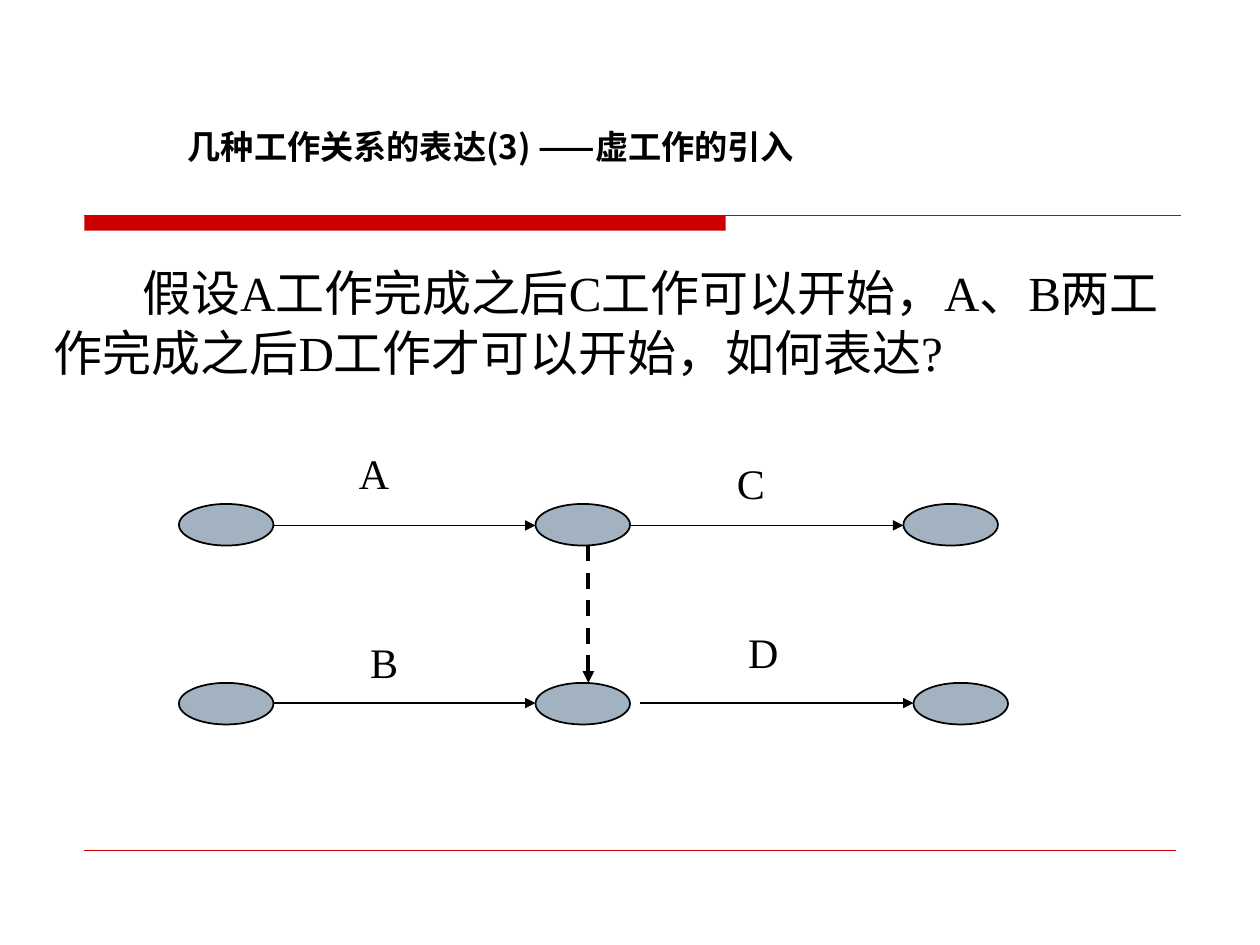
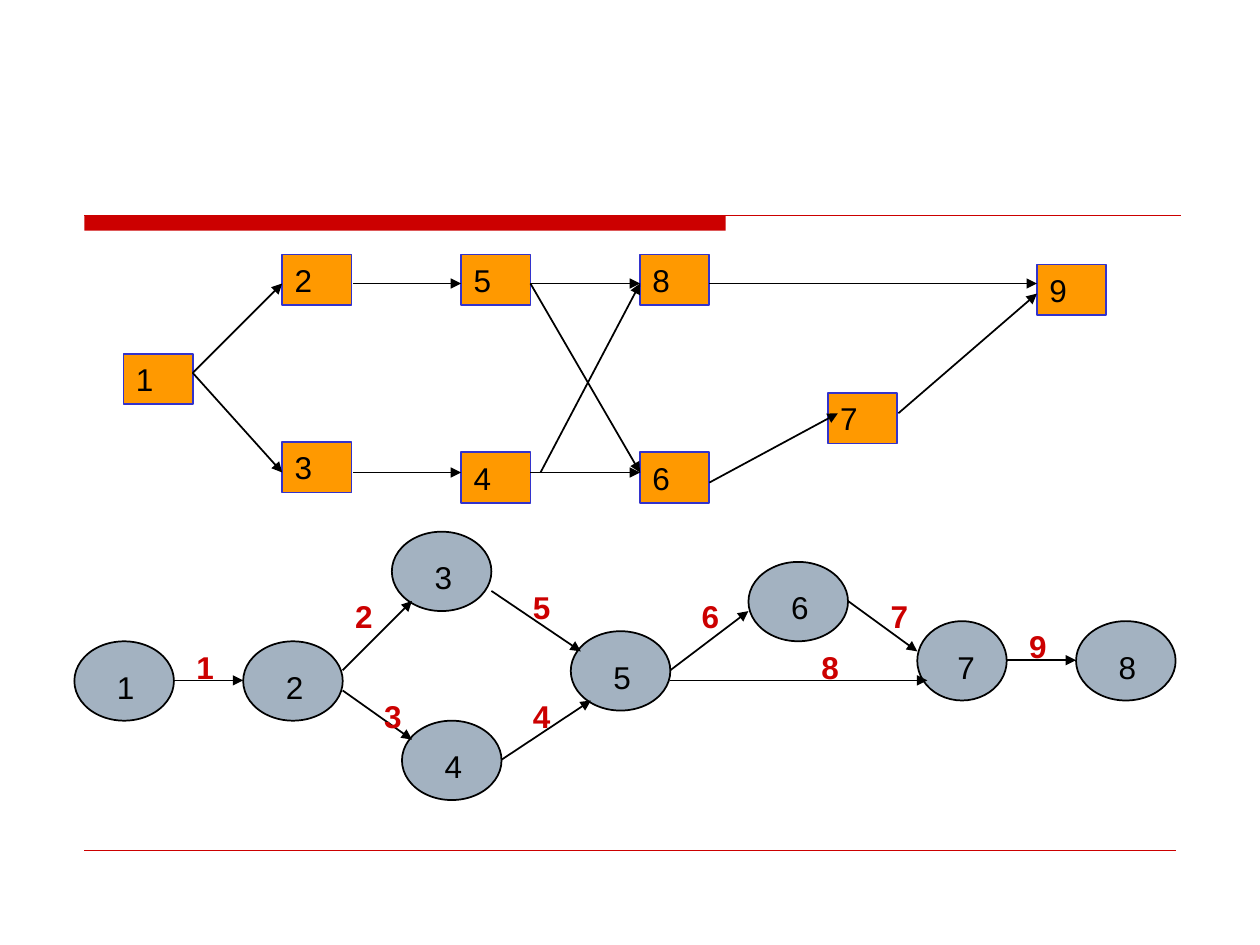
from lxml import etree
from pptx import Presentation
from pptx import util as u
from pptx.dml.color import RGBColor
from pptx.enum import dml, shapes, text
from pptx.oxml import ns

PX = 9144  # EMU in one px, 100 px to the inch

BLACK = RGBColor(0x00, 0x00, 0x00)
RED = RGBColor(0xCC, 0x00, 0x00)
ORANGE = RGBColor(0xFF, 0x99, 0x00)
BLUE = RGBColor(0x33, 0x33, 0xCC)
GREY = RGBColor(0xA3, 0xB2, 0xC1)

CJK = "Noto Sans CJK SC"
SERIF = "Times New Roman"
SANS = "Arial"
TITLE_ONLY, BLANK = 5, 6


def px(*lengths):
    return [u.Emu(length * PX) for length in lengths]


def write(frame, words, size=18, font=SANS, color=BLACK, bold=False,
          insets=(10, 5, 10, 5), anchor=text.MSO_ANCHOR.TOP, indent=0, spacing=None):
    """Fill a text frame with one left-aligned paragraph."""
    frame.word_wrap = True
    frame.auto_size = text.MSO_AUTO_SIZE.NONE
    frame.vertical_anchor = anchor
    (frame.margin_left, frame.margin_top,
     frame.margin_right, frame.margin_bottom) = px(*insets)
    paragraph = frame.paragraphs[0]
    paragraph.alignment = text.PP_ALIGN.LEFT
    if indent:
        paragraph._p.get_or_add_pPr().set("indent", str(indent * PX))
    if spacing:
        paragraph.line_spacing = u.Pt(spacing)
    run = paragraph.add_run()
    run.text = words
    run.font.size = u.Pt(size)
    run.font.name = font
    run.font.bold = bold
    run.font.color.rgb = color
    east_asian = etree.SubElement(run._r.get_or_add_rPr(), ns.qn("a:ea"))
    east_asian.set("typeface", CJK)


class Deck:
    """Holds the shared style and the slide being drawn."""

    def __init__(self):
        self.presentation = Presentation()
        self.presentation.slide_width, self.presentation.slide_height = px(1000, 750)
        self.slide = None

    def new_slide(self, title=None):
        layout = self.presentation.slide_layouts[TITLE_ONLY if title else BLANK]
        self.slide = self.presentation.slides.add_slide(layout)
        # Red band under the title and thin rule at the foot
        self.shape(shapes.MSO_SHAPE.RECTANGLE, (67, 171, 509, 12), RED)
        self.line((67, 171), (937, 171), RED, 0.75)
        self.line((67, 675), (933, 675), RED, 0.25)
        if title:
            holder = self.slide.shapes.title
            holder.left, holder.top, holder.width, holder.height = px(128, 37, 767, 106)
            write(holder.text_frame, title, size=19, font=CJK, bold=True,
                  insets=(21, 5, 10, 11), anchor=text.MSO_ANCHOR.BOTTOM)

    def shape(self, kind, box, fill, outline=None):
        shape = self.slide.shapes.add_shape(kind, *px(*box))
        shape.shadow.inherit = False
        shape.fill.solid()
        shape.fill.fore_color.rgb = fill
        if outline is None:
            shape.line.fill.background()
        else:
            shape.line.color.rgb = outline
            shape.line.width = u.Pt(1)
        return shape

    def ellipse(self, box):
        return self.shape(shapes.MSO_SHAPE.OVAL, box, GREY, BLACK)

    def text(self, words, box, **style):
        write(self.slide.shapes.add_textbox(*px(*box)).text_frame, words, **style)

    def box_node(self, number, left, top):
        node = self.shape(shapes.MSO_SHAPE.RECTANGLE, (left, top, 55, 40), ORANGE, BLUE)
        write(node.text_frame, number)

    def circle_node(self, number, left, top, width=79):
        self.ellipse((left, top, width, 63))
        self.text(number, (left + round(width * 0.31), top + 16, round(width * 0.39), 40))

    def line(self, start, end, color=BLACK, weight=1):
        line = self.slide.shapes.add_connector(
            shapes.MSO_CONNECTOR.STRAIGHT, *px(*start, *end))
        line.line.color.rgb = color
        line.line.width = u.Pt(weight)
        etree.SubElement(line._element.spPr, ns.qn("a:effectLst"))
        return line

    def arrow(self, start, end, weight=1, dashed=False):
        arrow = self.line(start, end, weight=weight)
        if dashed:
            arrow.line.dash_style = dml.MSO_LINE.DASH
        head = etree.SubElement(arrow.line._get_or_add_ln(), ns.qn("a:tailEnd"))
        head.set("type", "triangle")


def dummy_activity_slide(deck):
    deck.new_slide("几种工作关系的表达(3) ——虚工作的引入")
    deck.text("假设A工作完成之后C工作可以开始，A、B两工作完成之后D工作才可以开始，如何表达?",
              (33, 203, 908, 104), size=28, font=SERIF, indent=70, spacing=34)

    # Events, one row for each path
    for top, lefts in ((400, (142, 425, 717)), (542, (142, 425, 725))):
        for left in lefts:
            deck.ellipse((left, top, 75, 33))

    # Activities: name, name position, arrow start, arrow end, arrow height
    for name, left, top, start, end, y in (
            ("A", 275, 350, 217, 425, 417), ("C", 575, 358, 500, 717, 417),
            ("B", 284, 500, 217, 425, 558), ("D", 584, 492, 508, 725, 558)):
        deck.arrow((start, y), (end, y))
        deck.text(name, (left, top, 44, 50), size=24, font=SERIF)

    # Dummy activity
    deck.arrow((467, 433), (467, 542), weight=2.25, dashed=True)


def network_slide(deck):
    deck.new_slide()

    # Upper network: activities in boxes
    for number, left, top in (
            ("1", 98, 281), ("2", 224, 202), ("3", 224, 351),
            ("5", 366, 202), ("4", 366, 359), ("8", 508, 202),
            ("6", 508, 359), ("7", 657, 312), ("9", 823, 210)):
        deck.box_node(number, left, top)
    high, low = 225, 375
    for start, end in (
            ((280, high), (366, high)), ((280, low), (366, low)),
            ((153, 296), (224, high)), ((153, 296), (224, low)),
            ((421, high), (508, high)), ((421, low), (508, low)),
            ((563, 383), (665, 328)), ((563, high), (823, high)),
            ((713, 328), (823, 233)), ((429, low), (508, high)),
            ((421, high), (508, low))):
        deck.arrow(start, end)

    # Lower network: events in circles
    for node in (("1", 59, 509), ("2", 193, 509), ("3", 311, 422), ("4", 319, 572),
                 ("5", 453, 501), ("6", 594, 446), ("7", 728, 493, 71), ("8", 854, 493)):
        deck.circle_node(*node)

    # Lower network: numbered activities on arrows
    for number, left, top, start, end in (
            ("1", 146, 509, (138, 540), (193, 540)),
            ("2", 272, 469, (272, 532), (327, 477)),
            ("3", 295, 548, (272, 548), (327, 587)),
            ("5", 413, 462, (390, 469), (461, 517)),
            ("4", 413, 548, (398, 603), (469, 556)),
            ("6", 547, 469, (532, 532), (594, 485)),
            ("8", 642, 509, (532, 540), (736, 540)),
            ("7", 697, 469, (673, 477), (728, 517)),
            ("9", 807, 493, (799, 524), (854, 524))):
        deck.arrow(start, end)
        deck.text(number, (left, top, 35, 40), color=RED, bold=True)


def main():
    deck = Deck()
    dummy_activity_slide(deck)
    network_slide(deck)
    deck.presentation.save("out.pptx")


if __name__ == "__main__":
    main()
